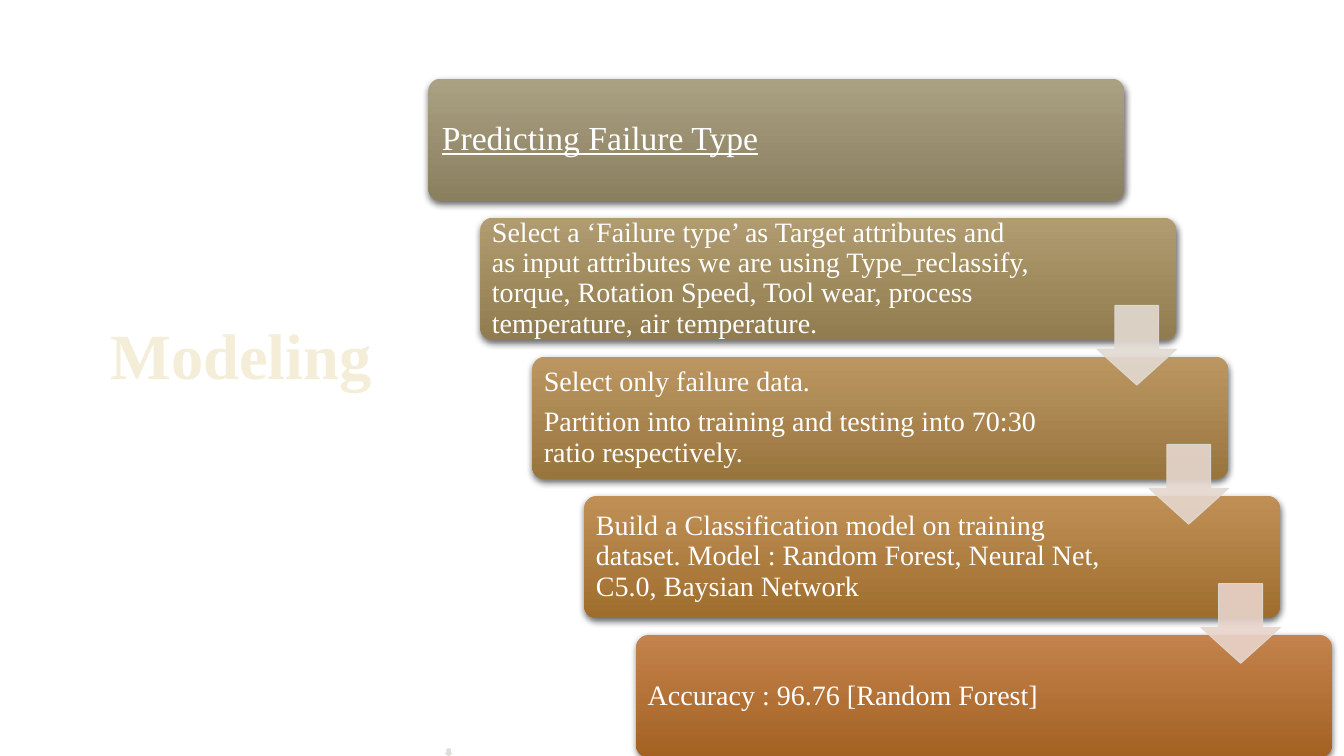
from lxml import etree
from pptx import Presentation
from pptx.dml.color import RGBColor
from pptx.enum.shapes import MSO_SHAPE
from pptx.enum.text import MSO_ANCHOR
from pptx.oxml.ns import qn
from pptx.util import Inches, Pt

ROUNDED = MSO_SHAPE.ROUNDED_RECTANGLE
DOWN_ARROW = MSO_SHAPE.DOWN_ARROW
MIDDLE = MSO_ANCHOR.MIDDLE

FONT = "Times New Roman"
WHITE = RGBColor(0xFF, 0xFF, 0xFF)
CREAM = RGBColor(0xF4, 0xED, 0xD8)
ARROW_EDGE = RGBColor(0xDF, 0xDC, 0xD5)
ARROW_FILLS = [RGBColor(0xE2, 0xDA, 0xD1), RGBColor(0xE5, 0xD7, 0xCE),
               RGBColor(0xE8, 0xD4, 0xCB)]

# Staircase grid: each step moves one column right and one row down
LEFT, TOP = 4.25, 0.78
COLUMN, ROW = 0.515, 1.38
STEP_WIDTH, STEP_HEIGHT = 6.9, 1.21
TEXT_MARGIN = 0.035
ARROW_SIZE = 0.79

# Paragraphs, top colour and bottom colour of each step
STEPS = [
    (["Predicting Failure Type"],
     RGBColor(0xAA, 0xA0, 0x82), RGBColor(0x8A, 0x80, 0x60)),
    (["Select a ‘Failure type’ as Target attributes and as input attributes "
      "we are using Type_reclassify, torque, Rotation Speed, Tool wear, "
      "process temperature, air temperature."],
     RGBColor(0xB1, 0x9C, 0x71), RGBColor(0x91, 0x7C, 0x4F)),
    (["Select only failure data.",
      "Partition into training and testing into 70:30 ratio respectively."],
     RGBColor(0xBB, 0x96, 0x61), RGBColor(0x99, 0x75, 0x3E)),
    (["Build a Classification model on training dataset. Model : Random "
      "Forest, Neural Net, C5.0, Baysian Network"],
     RGBColor(0xBF, 0x8F, 0x55), RGBColor(0x9F, 0x6E, 0x2E)),
    (["Accuracy : 96.76 [Random Forest]"],
     RGBColor(0xC4, 0x82, 0x4C), RGBColor(0xA3, 0x62, 0x22)),
]


def add_shadow(properties, blur, distance, degrees, alpha):
    """Give a shape or a run an outer black shadow."""
    for old in properties.findall(qn("a:effectLst")):
        properties.remove(old)
    effects = etree.Element(qn("a:effectLst"))
    shadow = etree.SubElement(
        effects, qn("a:outerShdw"), blurRad=str(Pt(blur)),
        dist=str(Pt(distance)), dir=str(degrees * 60000),
        algn="ctr", rotWithShape="0")
    color = etree.SubElement(shadow, qn("a:srgbClr"), val="000000")
    etree.SubElement(color, qn("a:alpha"), val=str(alpha * 1000))
    # Effects follow the fill and line, and precede the fonts
    before = properties.find(qn("a:latin"))
    if before is None:
        properties.append(effects)
    else:
        before.addprevious(effects)


def set_alpha(fill, percent):
    """Set the opacity of a solid fill's colour."""
    color = fill._xPr.find(qn("a:solidFill"))[0]
    etree.SubElement(color, qn("a:alpha"), val=str(percent * 1000))


def add_text(slide, frame, paragraphs, size, color, insets):
    """Add a text box and return its runs."""
    box = slide.shapes.add_textbox(*map(Inches, frame))
    text = box.text_frame
    text.word_wrap = True
    text.vertical_anchor = MIDDLE
    text.margin_left = text.margin_right = Inches(insets[0])
    text.margin_top = text.margin_bottom = Inches(insets[1])
    spans = []
    for index, words in enumerate(paragraphs):
        para = text.add_paragraph() if index else text.paragraphs[0]
        para.line_spacing = 0.9
        if index:
            para.space_before = Pt(7)
        span = para.add_run()
        span.text = words
        span.font.name = FONT
        span.font.size = Pt(size)
        span.font.color.rgb = color
        spans.append(span)
    return spans


def add_step(slide, index, paragraphs, top_color, bottom_color):
    """Add one stair: a shaded rounded box with its text."""
    left, top = LEFT + index * COLUMN, TOP + index * ROW
    box = slide.shapes.add_shape(
        ROUNDED, *map(Inches, (left, top, STEP_WIDTH, STEP_HEIGHT)))
    box.adjustments[0] = 0.1
    box.fill.gradient()
    box.fill.gradient_angle = 270
    for stop, color in zip(box.fill.gradient_stops, (top_color, bottom_color)):
        stop.color.rgb = color
    box.line.fill.background()
    add_shadow(box._element.spPr, 5, 2, 90, 60)

    heading = index == 0
    width = 5.45 if heading else 5.53
    inset = 0.1 if heading else 0.08
    frame = (left + TEXT_MARGIN, top + TEXT_MARGIN, width,
             STEP_HEIGHT - 2 * TEXT_MARGIN)
    spans = add_text(slide, frame, paragraphs, 24 if heading else 20,
                     WHITE, (inset, inset))
    if heading:
        spans[0].font.underline = True


def add_arrow(slide, frame, color):
    """Add a slightly transparent down arrow."""
    arrow = slide.shapes.add_shape(DOWN_ARROW, *map(Inches, frame))
    arrow.shadow.inherit = False
    arrow.adjustments[0] = 0.55
    arrow.adjustments[1] = 0.45
    arrow.fill.solid()
    arrow.fill.fore_color.rgb = color
    arrow.line.width = Pt(0.75)
    arrow.line.fill.solid()
    arrow.line.color.rgb = ARROW_EDGE
    set_alpha(arrow.fill, 90)
    set_alpha(arrow.line.fill, 90)


def main():
    deck = Presentation()
    deck.slide_width, deck.slide_height = Inches(13.33), Inches(7.5)
    slide = deck.slides.add_slide(deck.slide_layouts[6])

    # Title
    title = add_text(slide, (1, 0.67, 3.06, 5.77), ["Modeling"], 46, CREAM,
                     (0.1, 0.05))[0]
    title.font.bold = True
    add_shadow(title.font._element, 3, 2, 45, 50)

    # Steps
    for index, step in enumerate(STEPS):
        add_step(slide, index, *step)

    # Arrows between steps, after a tiny one at the bottom edge
    add_arrow(slide, (4.42, 7.43, 0.06, 0.07), ARROW_EDGE)
    for index, color in enumerate(ARROW_FILLS):
        add_arrow(slide, (10.88 + index * COLUMN, 3.03 + index * ROW,
                          ARROW_SIZE, ARROW_SIZE), color)

    deck.save("out.pptx")


if __name__ == "__main__":
    main()
